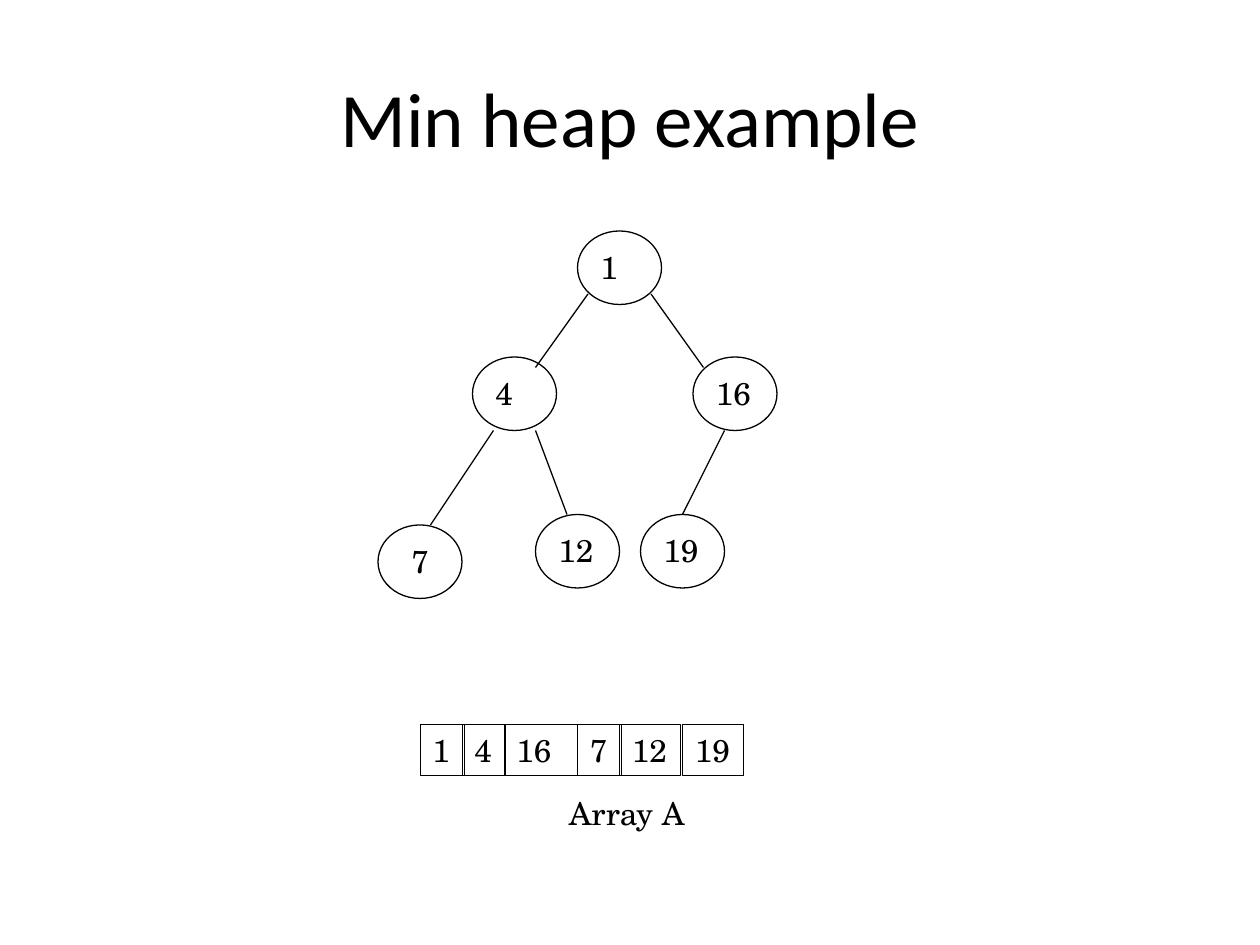
from dataclasses import dataclass

from lxml import etree
from pptx import Presentation, util as u
from pptx.dml.color import RGBColor
from pptx.enum import shapes as sh, text as tx
from pptx.oxml import ns

HEX = {"ink": "000000", "paper": "FFFFFF"}
SERIF = "TeX Gyre Schola"
UNIT = u.Inches(1) / 12  # the slide is a grid of 120 columns by 90 rows
NODE_W, NODE_H = 8, 7
TEXT_H = 4.8
ROW_Y = 69


@dataclass
class Node:
    key: str
    col: float
    row: float
    wide: float = 5.8
    inset: float = 1


@dataclass
class Edge:
    x1: float
    y1: float
    x2: float
    y2: float


@dataclass
class Cell:
    key: str
    col: float
    wide: float
    wrap: bool = False


NODES = [
    Node("1", 55, 22, 4.1),
    Node("4", 45, 34, 4.1),
    Node("16", 66, 34),
    Node("12", 51, 49),
    Node("7", 36, 50, 4.1, 2),
    Node("19", 61, 49),
]
EDGES = [
    Edge(56, 28, 51, 35),
    Edge(47, 41, 41, 50),
    Edge(51, 41, 54, 49),
    Edge(62, 28, 67, 35),
    Edge(69, 41, 65, 49),
]
CELLS = [
    Cell("1", 40, 4.2),
    Cell("4", 44, 4.1),
    Cell("16", 48, 7, True),
    Cell("7", 55, 4.2),
    Cell("12", 59, 5.8),
    Cell("19", 65, 5.8),
]


def grid(*vals: float) -> list[int]:
    return [round(v * UNIT) for v in vals]


def ink(name: str) -> RGBColor:
    return RGBColor.from_string(HEX[name])


def write(shape, words: str, size: float, face: str, align) -> None:
    frame = shape.text_frame
    frame.text = words
    para = frame.paragraphs[0]
    para.alignment = align
    font = para.runs[0].font
    font.size, font.name = u.Pt(size), face
    font.color.rgb = ink("ink")


def label(shape, words: str, wrap: bool = False) -> None:
    write(shape, words, 18, SERIF, tx.PP_ALIGN.LEFT)
    frame = shape.text_frame
    frame.word_wrap = wrap
    frame.vertical_anchor = tx.MSO_ANCHOR.TOP
    frame.auto_size = tx.MSO_AUTO_SIZE.SHAPE_TO_FIT_TEXT


def stroke(line, width: float) -> None:
    line.color.rgb = ink("ink")
    line.width = u.Pt(width)


def outline(slide, kind, box: list[int], width: float):
    shape = slide.shapes.add_shape(kind, *box)
    shape.shadow.inherit = False
    shape.fill.background()
    stroke(shape.line, width)
    return shape


def draw_node(slide, n: Node) -> None:
    box = grid(n.col, n.row, NODE_W, NODE_H)
    outline(slide, sh.MSO_SHAPE.OVAL, box, 0.75)
    spot = grid(n.col + n.inset, n.row + 1, n.wide, TEXT_H)
    label(slide.shapes.add_textbox(*spot), n.key)


def draw_edge(slide, e: Edge) -> None:
    ends = grid(e.x1, e.y1, e.x2, e.y2)
    link = slide.shapes.add_connector(sh.MSO_CONNECTOR.STRAIGHT, *ends)
    stroke(link.line, 0.75)
    etree.SubElement(link._element.spPr, ns.qn("a:effectLst"))


def draw_cell(slide, c: Cell) -> None:
    box = grid(c.col, ROW_Y, c.wide, TEXT_H)
    label(outline(slide, sh.MSO_SHAPE.RECTANGLE, box, 0.25), c.key, c.wrap)


def main() -> None:
    deck = Presentation()
    deck.slide_width, deck.slide_height = grid(120, 90)
    slide = deck.slides.add_slide(deck.slide_layouts[5])
    back = slide.background.fill
    back.solid()
    back.fore_color.rgb = ink("paper")

    title = slide.shapes.title
    title.left, title.top, title.width, title.height = grid(6, 3.6, 108, 15)
    write(title, "Min heap example", 44, "Calibri", tx.PP_ALIGN.CENTER)
    title.text_frame.vertical_anchor = tx.MSO_ANCHOR.MIDDLE

    for cell in CELLS:
        draw_cell(slide, cell)
    label(slide.shapes.add_textbox(*grid(53, 75, 17, 5)), "Array A", True)
    for node in NODES:
        draw_node(slide, node)
    for edge in EDGES:
        draw_edge(slide, edge)
    deck.save("out.pptx")


if __name__ == "__main__":
    main()
